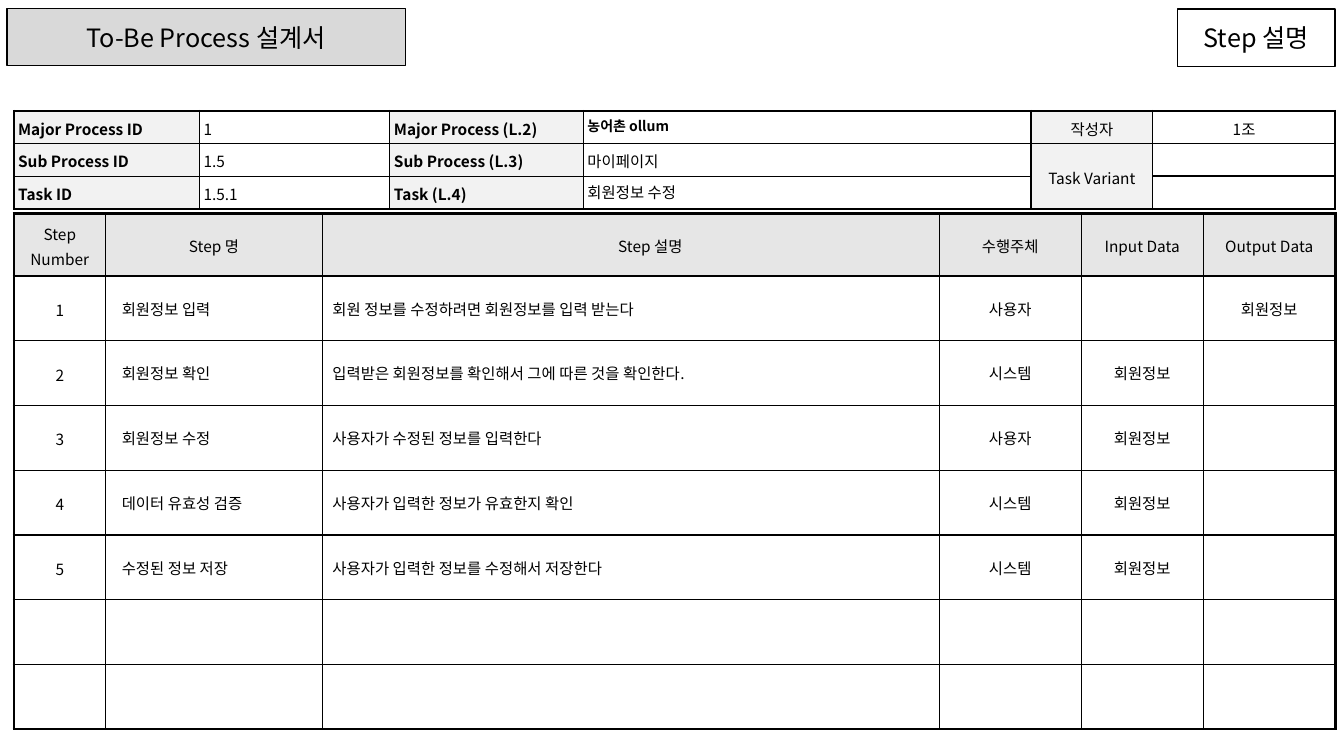
from lxml.etree import SubElement
from pptx import Presentation
from pptx.dml.color import RGBColor
from pptx.enum.shapes import MSO_SHAPE
from pptx.enum.text import MSO_ANCHOR, MSO_AUTO_SIZE, PP_ALIGN
from pptx.oxml import parse_xml
from pptx.oxml.ns import nsdecls, qn
from pptx.util import Pt

FONT = "Noto Sans CJK KR"
COLORS = {"ink": "000000", "banner": "D9D9D9", "label": "F2F2F2", "header": "E6E6E6"}
CENTER, LEFT = PP_ALIGN.CENTER, PP_ALIGN.LEFT


def add_text(frame, text, size=11, bold=False, align=LEFT, spacing=1.0, indent=0):
    """Write one paragraph; an empty one only keeps its font size."""
    paragraph = frame.paragraphs[0]
    paragraph.alignment = align
    paragraph.line_spacing = spacing
    if indent:
        properties = paragraph._p.get_or_add_pPr()
        properties.set("marL", str(Pt(indent)))
        properties.set("indent", "0")
    if not text:
        SubElement(paragraph._p, qn("a:endParaRPr")).set("sz", str(size * 100))
        return
    run = paragraph.add_run()
    run.text = text
    run.font.name = FONT
    run.font.size = Pt(size)
    run.font.bold = bold
    run.font.color.rgb = RGBColor.from_string(COLORS["ink"])
    fonts = run._r.get_or_add_rPr()
    SubElement(fonts, qn("a:ea")).set("typeface", FONT)


def style_cell(cell, fill, borders, margin_x):
    """Set fill, margins and border widths, given as left, right, top, bottom."""
    cell.margin_left = cell.margin_right = Pt(margin_x)
    cell.margin_top = cell.margin_bottom = Pt(2.9)
    if fill:
        cell.fill.solid()
        cell.fill.fore_color.rgb = RGBColor.from_string(COLORS[fill])
    else:
        cell.fill.background()
    for position, (side, width) in enumerate(zip("LRTB", borders)):
        line = parse_xml(
            f'<a:ln{side} {nsdecls("a")} w="{Pt(width)}"><a:solidFill>'
            f'<a:srgbClr val="{COLORS["ink"]}"/></a:solidFill></a:ln{side}>'
        )
        cell._tc.get_or_add_tcPr().insert(position, line)


prs = Presentation()
prs.slide_width, prs.slide_height = Pt(960), Pt(540)
slide = prs.slides.add_slide(prs.slide_layouts[5])

# Title and page label
title = slide.shapes.title
title.left, title.top, title.width, title.height = Pt(5), Pt(6), Pt(284.5), Pt(41)
title.fill.solid()
title.fill.fore_color.rgb = RGBColor.from_string(COLORS["banner"])
page_label = slide.shapes.add_shape(
    MSO_SHAPE.RECTANGLE, Pt(841), Pt(6.5), Pt(112.5), Pt(41))
page_label.shadow.inherit = False
page_label.fill.background()
for box, text in ((title, "To-Be Process 설계서"), (page_label, "Step 설명")):
    box.line.color.rgb = RGBColor.from_string(COLORS["ink"])
    box.line.width = Pt(1)
    box.text_frame.word_wrap = True
    box.text_frame.auto_size = MSO_AUTO_SIZE.NONE
    box.text_frame.vertical_anchor = MSO_ANCHOR.MIDDLE
    add_text(box.text_frame, text, size=18, align=CENTER)

# Process identification
process_rows = [
    ["Major Process ID", "1", "Major Process (L.2)", "농어촌 ollum", "작성자", "1조"],
    ["Sub Process ID", "1.5", "Sub Process (L.3)", "마이페이지", "Task Variant", ""],
    ["Task ID", "1.5.1", "Task (L.4)", "회원정보 수정", "", ""],
]
process_widths = [132.5, 136, 138.25, 319.7, 87.1, 130.3]

# Steps of the task
step_rows = [
    ["Step Number", "Step 명", "Step 설명", "수행주체", "Input Data", "Output Data"],
    ["1", "회원정보 입력", "회원 정보를 수정하려면 회원정보를 입력 받는다", "사용자", "", "회원정보"],
    ["2", "회원정보 확인", "입력받은 회원정보를 확인해서 그에 따른 것을 확인한다.", "시스템", "회원정보", ""],
    ["3", "회원정보 수정", "사용자가 수정된 정보를 입력한다", "사용자", "회원정보", ""],
    ["4", "데이터 유효성 검증", "사용자가 입력한 정보가 유효한지 확인", "시스템", "회원정보", ""],
    ["5", "수정된 정보 저장", "사용자가 입력한 정보를 수정해서 저장한다", "시스템", "회원정보", ""],
    [""] * 6,
    [""] * 6,
]
step_widths = [65.5, 154.8, 440.6, 101.5, 87.1, 94.35]

grids = []
for rows, widths, heights, top in (
    (process_rows, process_widths, [22.5] * 3, 79.2),
    (step_rows, step_widths, [44.6] + [46.25] * 7, 152.6),
):
    grid = slide.shapes.add_table(
        len(rows), len(widths), Pt(10), Pt(top), Pt(sum(widths)), Pt(sum(heights))).table
    grid.first_row = grid.horz_banding = False
    for column, width in zip(grid.columns, widths):
        column.width = Pt(width)
    for row, height in zip(grid.rows, heights):
        row.height = Pt(height)
    grids.append(grid)
process_grid, step_grid = grids

process_grid.cell(1, 4).merge(process_grid.cell(2, 4))
for r, row in enumerate(process_rows):
    for c, text in enumerate(row):
        cell = process_grid.cell(r, c)
        author_side = c >= 4
        process_name = (r, c) == (0, 3)
        borders = (
            1.5 if c == 0 else 1,
            1.5 if c == 5 else 1,
            1.5 if r == 0 or author_side else 1,
            1.5 if r == 2 or author_side else 1,
        )
        style_cell(cell, "label" if c in (0, 2, 4) else None, borders, 2.9)
        cell.vertical_anchor = MSO_ANCHOR.MIDDLE if author_side else MSO_ANCHOR.TOP
        add_text(
            cell.text_frame, text,
            size=10 if process_name else 11,
            bold=c in (0, 2) or process_name,
            align=CENTER if author_side else LEFT,
            spacing=1.0 if c == 3 and r != 1 else 1.1,
        )

body_indents = {1: 7.2, 2: 2.9}
for r, row in enumerate(step_rows):
    for c, text in enumerate(row):
        cell = step_grid.cell(r, c)
        header = r == 0
        borders = (
            2.25 if c == 0 else 1,
            2.25 if c == 5 else 1,
            2.25 if header else 1,
            2.25 if r == 7 else 1,
        )
        style_cell(cell, "header" if header else None, borders, 4.3)
        cell.vertical_anchor = MSO_ANCHOR.MIDDLE
        if header:
            indent = 28 if c == 2 else 0
        else:
            indent = body_indents.get(c, 0)
        add_text(
            cell.text_frame, text,
            align=LEFT if c in body_indents and not header else CENTER,
            spacing=1.1 if header or c == 0 else 1.0,
            indent=indent,
        )

prs.save("out.pptx")
